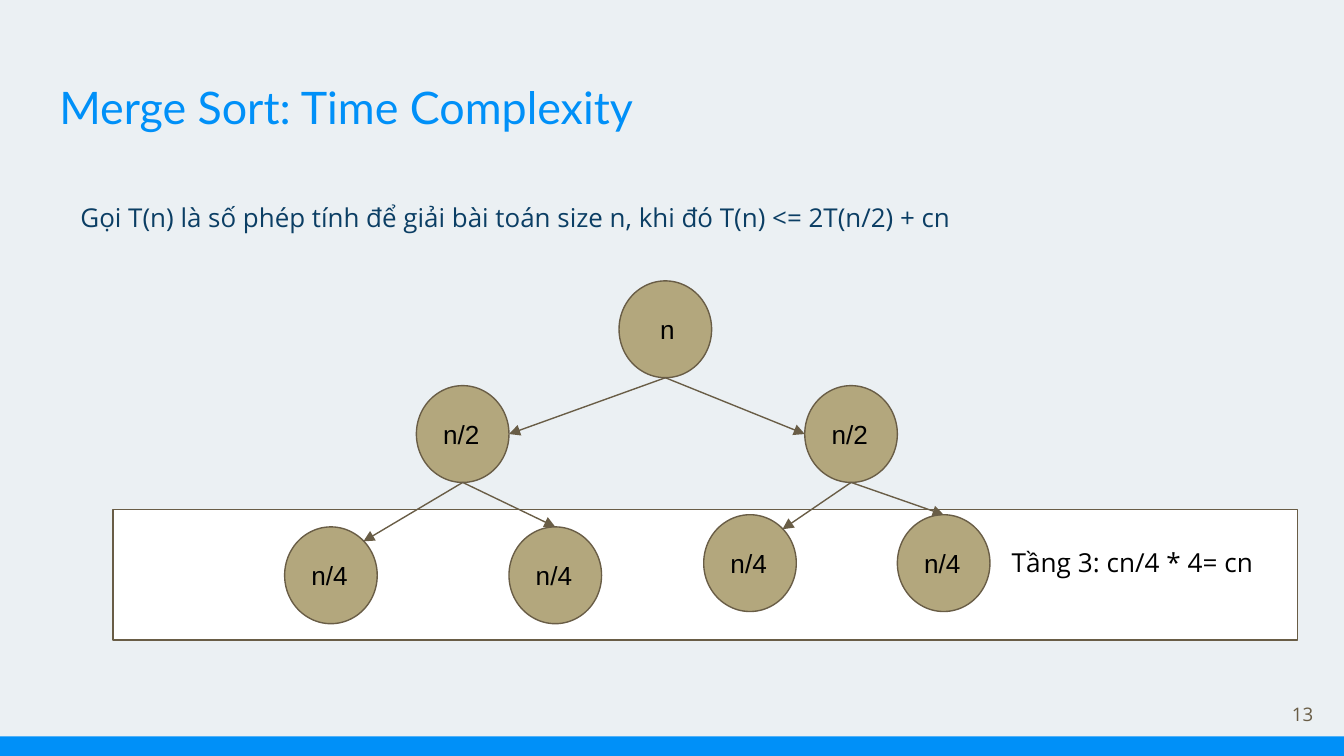
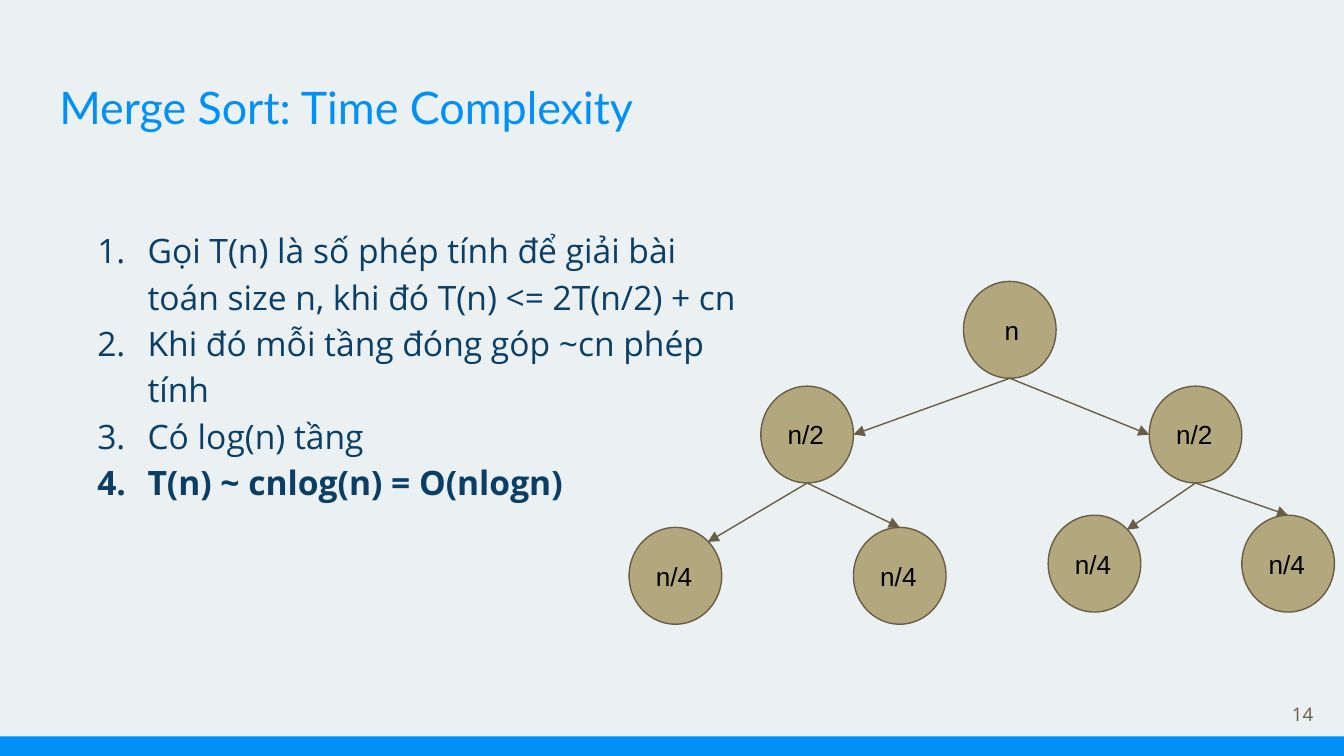
from lxml.etree import SubElement
from pptx import Presentation
from pptx.dml.color import RGBColor
from pptx.enum.shapes import MSO_CONNECTOR, MSO_SHAPE
from pptx.enum.text import MSO_ANCHOR as Anchor, MSO_AUTO_SIZE as AutoSize, PP_ALIGN as Align
from pptx.oxml.ns import qn
from pptx.util import Cm, Pt

SLIDE_W, SLIDE_H = 25.4, 14.29
PAPER = RGBColor(0xEB, 0xF0, 0xF3)
BLUE = RGBColor(0x00, 0x90, 0xF8)
NAVY = RGBColor(0x0B, 0x3E, 0x64)
BROWN = RGBColor(0x69, 0x5D, 0x46)
SAND = RGBColor(0xB3, 0xA7, 0x7D)
WHITE = RGBColor(0xFF, 0xFF, 0xFF)
BLACK = RGBColor(0x00, 0x00, 0x00)

TITLE = "Merge Sort: Time Complexity"
RECURRENCE = "Gọi T(n) là số phép tính để giải bài toán size n, khi đó T(n) <= 2T(n/2) + cn"

NODE_W, NODE_H = 1.75, 1.83
# Points on a node, as fractions of its width and height
TOP, BOTTOM, LEFT, RIGHT = (0.5, 0), (0.5, 1), (0, 0.5), (1, 0.5)
TOP_RIGHT = (0.85, 0.15)
# Label and offset from the top left corner of the tree, in cm
TREE_NODES = {
    "left half": ("n/2", 2.49, 1.98),
    "right half": ("n/2", 9.83, 1.98),
    "whole": ("n", 6.32, 0),
    "quarter 3": ("n/4", 7.92, 4.42),
    "quarter 4": ("n/4", 11.58, 4.42),
    "quarter 2": ("n/4", 4.24, 4.65),
    "quarter 1": ("n/4", 0, 4.65),
}
# Every branch leaves the bottom of its parent
TREE_BRANCHES = [
    ("whole", "left half", RIGHT),
    ("whole", "right half", LEFT),
    ("left half", "quarter 1", TOP_RIGHT),
    ("left half", "quarter 2", TOP),
    ("right half", "quarter 3", TOP_RIGHT),
    ("right half", "quarter 4", TOP),
]


def write(shape, text, *, size, font="Open Sans", color=BLACK, bold=False, align=Align.LEFT,
          anchor=Anchor.TOP, fit=AutoSize.NONE, line_spacing=None, space_after=None,
          indent=0, hanging=0):
    """Add text as the next paragraph of the shape."""
    frame = shape.text_frame
    frame.word_wrap = True
    frame.auto_size = fit
    frame.vertical_anchor = anchor
    frame.margin_left = frame.margin_right = frame.margin_top = frame.margin_bottom = Cm(0.25)
    paragraph = frame.add_paragraph() if frame.text else frame.paragraphs[0]
    paragraph.alignment = align
    paragraph.line_spacing = line_spacing
    paragraph.space_after = space_after
    if indent:
        properties = paragraph._p.get_or_add_pPr()
        properties.set("marL", str(Cm(indent)))
        properties.set("indent", str(-Cm(hanging)))
    run = paragraph.add_run()
    run.text = text
    run.font.name = font
    run.font.size = Pt(size)
    run.font.bold = bold
    run.font.color.rgb = color
    return paragraph


def number(paragraph, color):
    """Turn the paragraph into an item of a numbered list."""
    properties = paragraph._p.get_or_add_pPr()
    bullet_color = SubElement(properties, qn("a:buClr"))
    SubElement(bullet_color, qn("a:srgbClr"), val=str(color))
    SubElement(properties, qn("a:buFont"), typeface="Open Sans")
    SubElement(properties, qn("a:buAutoNum"), type="arabicPeriod")


def add_box(slide, left, top, width, height):
    return slide.shapes.add_textbox(Cm(left), Cm(top), Cm(width), Cm(height))


def add_figure(slide, kind, left, top, width, height, fill, line=None):
    figure = slide.shapes.add_shape(kind, Cm(left), Cm(top), Cm(width), Cm(height))
    figure.shadow.inherit = False
    figure.fill.solid()
    figure.fill.fore_color.rgb = fill
    if line is None:
        figure.line.fill.background()
    else:
        figure.line.color.rgb = line
        figure.line.width = Pt(0.75)
    return figure


def add_arrow(slide, start, end):
    arrow = slide.shapes.add_connector(
        MSO_CONNECTOR.STRAIGHT, *(Cm(value) for value in (*start, *end)))
    arrow.line.color.rgb = BROWN
    arrow.line.width = Pt(0.75)
    SubElement(arrow.line._get_or_add_ln(), qn("a:tailEnd"), type="triangle")
    SubElement(arrow._element.spPr, qn("a:effectLst"))


def add_titled_slide(prs, page):
    """Add a slide with the shared title, bottom band and page number."""
    slide = prs.slides.add_slide(prs.slide_layouts[5])
    title = slide.shapes.title
    title.left, title.top, title.width, title.height = Cm(0.87), Cm(1.25), Cm(23.67), Cm(1.95)
    write(title, TITLE, size=24, font="Lato", color=BLUE)
    band_h = 0.37
    add_figure(slide, MSO_SHAPE.RECTANGLE, 0, SLIDE_H - band_h, SLIDE_W, band_h, BLUE)
    write(add_box(slide, 23.55, 12.95, 1.52, 1.09), str(page), size=10, color=BROWN,
          align=Align.RIGHT, anchor=Anchor.MIDDLE)
    return slide


def add_tree(slide, left, top):
    """Draw the recursion tree with its top left corner at the given place."""
    for label, x, y in TREE_NODES.values():
        node = add_figure(slide, MSO_SHAPE.OVAL, left + x, top + y, NODE_W, NODE_H, SAND, BROWN)
        write(node, label, size=14, font="Arial", anchor=Anchor.MIDDLE,
              indent=0.27 if label == "n" else 0)

    def point(name, site):
        _, x, y = TREE_NODES[name]
        return left + x + site[0] * NODE_W, top + y + site[1] * NODE_H

    for parent, child, site in TREE_BRANCHES:
        add_arrow(slide, point(parent, BOTTOM), point(child, site))


def add_level_strip(slide, left, top, width, height):
    """Draw the strip that marks the third level of the tree."""
    add_figure(slide, MSO_SHAPE.RECTANGLE, left, top, width, height, WHITE, BROWN)


def add_level_cost(slide, left, top):
    write(add_box(slide, left, top, 5.31, 1.12), "Tầng 3: cn/4 * 4= cn", size=14,
          fit=AutoSize.SHAPE_TO_FIT_TEXT)


def build_level_slide(prs):
    slide = add_titled_slide(prs, 13)
    add_level_strip(slide, 2.14, 9.63, 22.38, 2.47)
    write(add_box(slide, 1.27, 3.48, 23.27, 1.12), RECURRENCE, size=13.9, color=NAVY,
          line_spacing=1.15, space_after=Pt(10))
    add_tree(slide, 5.38, 5.31)
    add_level_cost(slide, 18.87, 10.08)


def build_conclusion_slide(prs):
    slide = add_titled_slide(prs, 14)
    conclusion = "T(n) ~ cnlog(n) = O(nlogn)"
    steps = [RECURRENCE, "Khi đó mỗi tầng đóng góp ~cn phép tính", "Có log(n) tầng", conclusion]
    reasoning = add_box(slide, 1.27, 3.99, 13.28, 9.47)
    for step in steps:
        item = write(reasoning, step, size=18, color=NAVY, bold=step == conclusion,
                     line_spacing=1.15, indent=1.27, hanging=0.95)
        number(item, NAVY)
    add_tree(slide, 11.89, 5.32)


def main():
    prs = Presentation()
    prs.slide_width, prs.slide_height = Cm(SLIDE_W), Cm(SLIDE_H)
    background = prs.slide_master.background.fill
    background.solid()
    background.fore_color.rgb = PAPER
    build_level_slide(prs)
    build_conclusion_slide(prs)
    prs.save("out.pptx")


if __name__ == "__main__":
    main()
